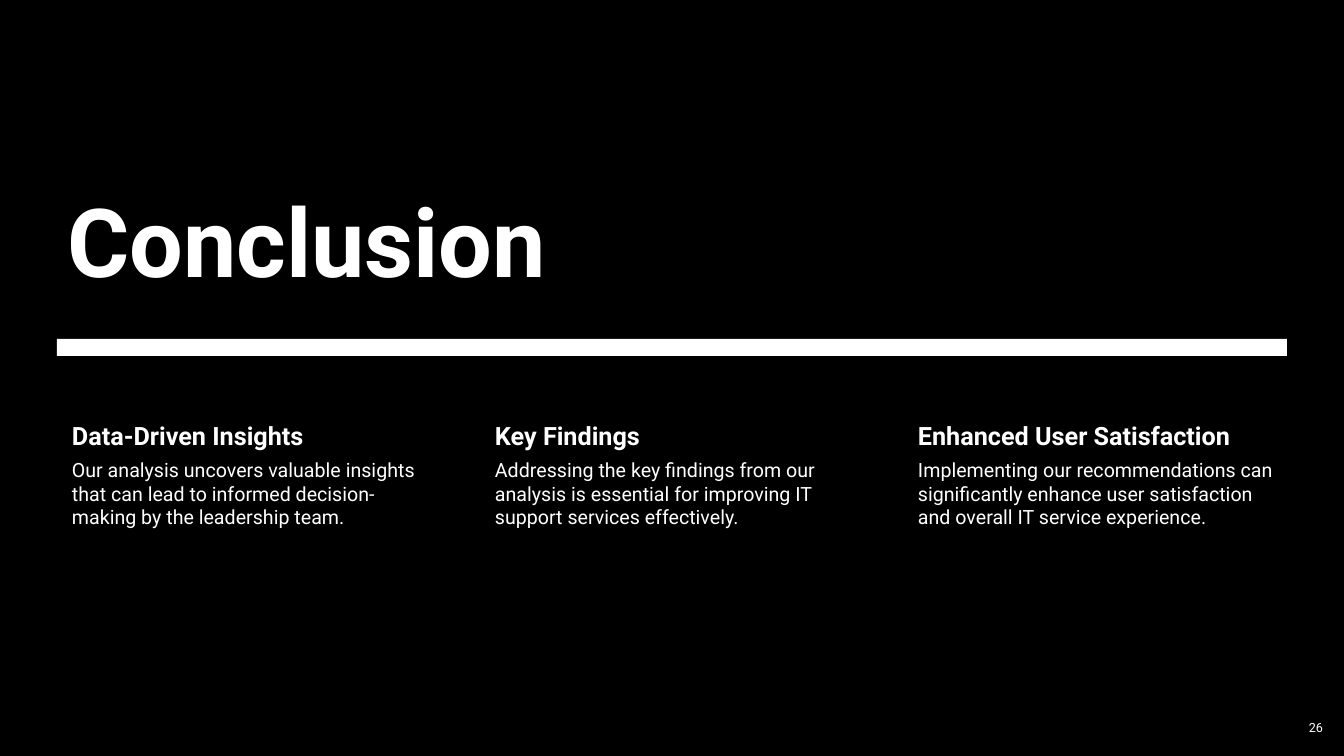
from pptx import Presentation
from pptx.dml.color import RGBColor
from pptx.enum.shapes import MSO_SHAPE
from pptx.enum.text import MSO_ANCHOR, MSO_AUTO_SIZE, PP_ALIGN
from pptx.util import Emu, Pt

BLACK = RGBColor(0x00, 0x00, 0x00)
WHITE = RGBColor(0xFF, 0xFF, 0xFF)
FONT = "Roboto"
EMU_PER_PX = 914400 / 100.8

SLIDE_WIDTH, SLIDE_HEIGHT = 1344, 756
MARGIN = 57
CONTENT_WIDTH = SLIDE_WIDTH - 2 * MARGIN
COLUMN_WIDTH = 384
HEADING_TOP, HEADING_HEIGHT = 417, 39
BODY_HEIGHT = 231

TAKEAWAYS = [
    ("Data-Driven Insights",
     "Our analysis uncovers valuable insights that can lead to informed "
     "decision-making by the leadership team."),
    ("Key Findings",
     "Addressing the key findings from our analysis is essential for "
     "improving IT support services effectively."),
    ("Enhanced User Satisfaction",
     "Implementing our recommendations can significantly enhance user "
     "satisfaction and overall IT service experience."),
]


def px(length):
    return Emu(round(length * EMU_PER_PX))


def write(frame, text, size, bold=False, align=PP_ALIGN.LEFT,
          anchor=MSO_ANCHOR.TOP):
    """Fill a text frame with one white paragraph."""
    frame.text = text
    frame.word_wrap = True
    frame.auto_size = MSO_AUTO_SIZE.NONE
    frame.vertical_anchor = anchor
    paragraph = frame.paragraphs[0]
    paragraph.alignment = align
    font = paragraph.runs[0].font
    font.name, font.size, font.bold = FONT, Pt(size), bold
    font.color.rgb = WHITE


def add_title(slide, text):
    title = slide.shapes.title
    title.left, title.top = px(MARGIN), px(147)
    title.width, title.height = px(CONTENT_WIDTH), px(155)
    write(title.text_frame, text, 68, bold=True, anchor=MSO_ANCHOR.BOTTOM)


def add_panel(slide, left, top, width, height, color):
    panel = slide.shapes.add_shape(
        MSO_SHAPE.RECTANGLE, px(left), px(top), px(width), px(height))
    panel.shadow.inherit = False
    panel.fill.solid()
    panel.fill.fore_color.rgb = color
    panel.line.fill.background()
    return panel


def add_backdrop(slide):
    """Cover the slide in black, behind the title placeholder."""
    backdrop = add_panel(slide, 0, 0, SLIDE_WIDTH, SLIDE_HEIGHT, BLACK)
    slide.shapes.title.element.addprevious(backdrop.element)


def add_column_text(slide, left, top, height, inset, text, size, bold=False):
    box = slide.shapes.add_textbox(
        px(left), px(top), px(COLUMN_WIDTH), px(height))
    frame = box.text_frame
    frame.margin_left = px(15)
    frame.margin_top = frame.margin_right = frame.margin_bottom = px(inset)
    write(frame, text, size, bold)


def add_takeaway(slide, left, heading, body):
    add_column_text(slide, left, HEADING_TOP, HEADING_HEIGHT, 3,
                    heading, 18, bold=True)
    add_column_text(slide, left, HEADING_TOP + HEADING_HEIGHT, BODY_HEIGHT, 2,
                    body, 14)


def add_page_number(slide, number):
    box = slide.shapes.add_textbox(px(1263), px(708), px(70), px(40))
    write(box.text_frame, number, 9, align=PP_ALIGN.RIGHT,
          anchor=MSO_ANCHOR.MIDDLE)


def main():
    deck = Presentation()
    deck.slide_width, deck.slide_height = px(SLIDE_WIDTH), px(SLIDE_HEIGHT)
    slide = deck.slides.add_slide(deck.slide_layouts.get_by_name("Title Only"))
    slide.background.fill.solid()
    slide.background.fill.fore_color.rgb = BLACK

    add_backdrop(slide)
    add_panel(slide, MARGIN, 339, CONTENT_WIDTH, 17, WHITE)
    add_title(slide, "Conclusion")
    column_step = (CONTENT_WIDTH - COLUMN_WIDTH) // (len(TAKEAWAYS) - 1)
    for index, (heading, body) in enumerate(TAKEAWAYS):
        add_takeaway(slide, MARGIN + index * column_step, heading, body)
    add_page_number(slide, "26")

    deck.save("out.pptx")


if __name__ == "__main__":
    main()
